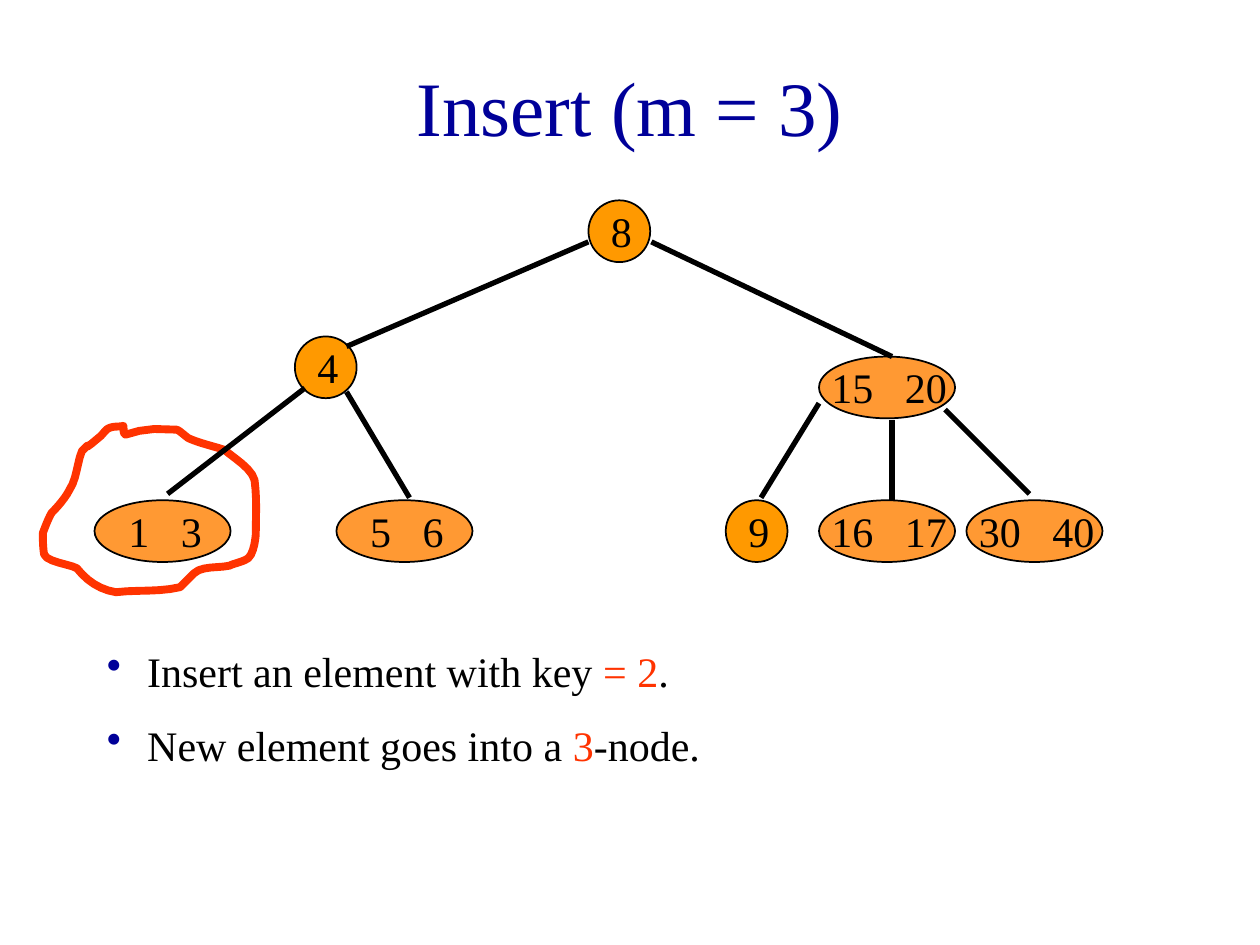
from typing import NamedTuple

from lxml.etree import SubElement
from pptx import Presentation
from pptx.dml.color import RGBColor
from pptx.enum.shapes import MSO_CONNECTOR, MSO_SHAPE
from pptx.enum.text import MSO_ANCHOR, PP_ALIGN
from pptx.oxml.ns import qn
from pptx.util import Inches, Pt

NAVY = RGBColor(0x00, 0x00, 0x99)
RED = RGBColor(0xFF, 0x33, 0x00)
BLACK = RGBColor(0x00, 0x00, 0x00)
ORANGE = RGBColor(0xFF, 0x99, 0x00)
LIGHT_ORANGE = RGBColor(0xFF, 0x99, 0x33)
FONT = "Times New Roman"
KEY_SIZE = 24
NODE_HEIGHT = 0.49

Point = tuple[float, float]


class Node(NamedTuple):
    left: float
    top: float
    keys: tuple[int, ...]

    @property
    def is_pair(self) -> bool:
        return len(self.keys) == 2


class Edge(NamedTuple):
    start: Point
    end: Point


class Run(NamedTuple):
    text: str
    color: RGBColor = BLACK


LEAF_TOP = 3.97
NODES = [
    Node(4.67, 1.59, (8,)),
    Node(2.34, 2.67, (4,)),
    Node(6.5, 2.83, (15, 20)),
    Node(0.75, LEAF_TOP, (1, 3)),
    Node(2.67, LEAF_TOP, (5, 6)),
    Node(5.76, LEAF_TOP, (9,)),
    Node(6.5, LEAF_TOP, (16, 17)),
    Node(7.67, LEAF_TOP, (30, 40)),
]
EDGES = [
    Edge((4.67, 1.92), (2.75, 2.75)),
    Edge((5.17, 1.92), (7.08, 2.83)),
    Edge((2.42, 3.08), (1.33, 3.92)),
    Edge((2.75, 3.11), (3.25, 3.95)),
    Edge((6.5, 3.2), (6.04, 3.95)),
    Edge((7.08, 3.33), (7.08, LEAF_TOP)),
    Edge((7.5, 3.25), (8.17, 3.92)),
]
BULLETS = [
    [Run("Insert an element with key "), Run("= 2", RED), Run(".")],
    [Run("New element goes into a "), Run("3", RED), Run("-node.")],
]
# Hand-drawn loop: a start point, then two control points and an end per curve.
LOOP_START = (0.98, 3.38)
LOOP_CURVES = [
    ((0.94, 3.39), (0.9, 3.38), (0.86, 3.4)),
    ((0.84, 3.41), (0.82, 3.44), (0.8, 3.46)),
    ((0.59, 3.64), (0.77, 3.46), (0.65, 3.58)),
    ((0.61, 3.68), (0.61, 3.8), (0.55, 3.89)),
    ((0.52, 3.95), (0.46, 4.02), (0.41, 4.07)),
    ((0.38, 4.12), (0.36, 4.18), (0.34, 4.23)),
    ((0.34, 4.28), (0.34, 4.34), (0.35, 4.4)),
    ((0.37, 4.46), (0.56, 4.48), (0.61, 4.51)),
    ((0.69, 4.61), (0.79, 4.68), (0.92, 4.7)),
    ((1.09, 4.68), (1.27, 4.7), (1.43, 4.66)),
    ((1.47, 4.62), (1.5, 4.59), (1.54, 4.55)),
    ((1.6, 4.49), (1.73, 4.51), (1.82, 4.49)),
    ((1.86, 4.47), (1.93, 4.46), (1.97, 4.43)),
    ((2.02, 4.39), (2.03, 4.24), (2.03, 4.24)),
    ((2.03, 4.1), (2.04, 3.95), (2.02, 3.81)),
    ((2, 3.72), (1.85, 3.63), (1.78, 3.57)),
    ((1.69, 3.54), (1.59, 3.52), (1.5, 3.48)),
    ((1.49, 3.48), (1.42, 3.41), (1.4, 3.41)),
    ((0.98, 3.37), (0.98, 3.54), LOOP_START),
]


def set_font(paragraph, size: float, color: RGBColor | None = None) -> None:
    paragraph.font.name = FONT
    paragraph.font.size = Pt(size)
    if color is not None:
        paragraph.font.color.rgb = color


def curve_points(start: Point, curve: tuple[Point, Point, Point], steps: int = 6) -> list[Point]:
    """Sample a cubic Bezier curve, leaving out its start."""
    controls = (start, *curve)
    points = []
    for step in range(1, steps + 1):
        t = step / steps
        weights = ((1 - t) ** 3, 3 * t * (1 - t) ** 2, 3 * t * t * (1 - t), t ** 3)
        points.append(tuple(Inches(sum(w * c[axis] for w, c in zip(weights, controls)))
                            for axis in (0, 1)))
    return points


def draw_loop(shapes) -> None:
    builder = shapes.build_freeform(Inches(LOOP_START[0]), Inches(LOOP_START[1]))
    start = LOOP_START
    for curve in LOOP_CURVES:
        builder.add_line_segments(curve_points(start, curve), close=False)
        start = curve[-1]
    builder.add_line_segments([], close=True)
    loop = builder.convert_to_shape()
    loop.shadow.inherit = False
    loop.fill.background()
    loop.line.color.rgb = RED
    loop.line.width = Pt(4.5)


def draw_node(shapes, node: Node) -> None:
    width = 1.08 if node.is_pair else NODE_HEIGHT
    ellipse = shapes.add_shape(MSO_SHAPE.OVAL, Inches(node.left), Inches(node.top),
                               Inches(width), Inches(NODE_HEIGHT))
    ellipse.shadow.inherit = False
    ellipse.fill.solid()
    ellipse.fill.fore_color.rgb = LIGHT_ORANGE if node.is_pair else ORANGE
    ellipse.line.color.rgb = BLACK
    ellipse.line.width = Pt(1)


def draw_edge(shapes, edge: Edge) -> None:
    line = shapes.add_connector(MSO_CONNECTOR.STRAIGHT,
                                *(Inches(v) for v in (*edge.start, *edge.end)))
    line.line.color.rgb = BLACK
    line.line.width = Pt(3)
    SubElement(line._element.spPr, qn("a:effectLst"))


def draw_keys(shapes, node: Node) -> None:
    digits = len(str(node.keys[0]))
    if not node.is_pair:
        offset, width = 0.08, 0.42
    elif digits == 1:
        offset, width = 0.17, 0.83
    else:
        offset, width = 0, 1.5
    box = shapes.add_textbox(Inches(node.left + offset), Inches(node.top - 0.01),
                             Inches(width), Inches(0.5))
    box.text_frame.word_wrap = True
    paragraph = box.text_frame.paragraphs[0]
    paragraph.text = "\t".join(str(key) for key in node.keys)
    if node.is_pair:
        # Digits are half an em wide; the gap is three quarters of an em.
        stop = Pt(KEY_SIZE * (digits / 2 + 0.75))
        tabs = SubElement(paragraph._p.get_or_add_pPr(), qn("a:tabLst"))
        SubElement(tabs, qn("a:tab"), pos=str(stop), algn="l")
    set_font(paragraph, KEY_SIZE, BLACK)


def draw_bullets(shapes) -> None:
    box = shapes.add_textbox(Inches(0.75), Inches(5.07), Inches(6.67), Inches(1.11))
    frame = box.text_frame
    frame.word_wrap = True
    for index, runs in enumerate(BULLETS):
        paragraph = frame.add_paragraph() if index else frame.paragraphs[0]
        if index:
            paragraph.space_before = Pt(13.5)
        properties = paragraph._p.get_or_add_pPr()
        properties.set("marL", str(Inches(0.32)))
        properties.set("indent", str(-Inches(0.32)))
        bullet_color = SubElement(properties, qn("a:buClr"))
        SubElement(bullet_color, qn("a:srgbClr"), val=str(NAVY))
        SubElement(properties, qn("a:buChar"), char="•")
        set_font(paragraph, 24)
        for part in runs:
            run = paragraph.add_run()
            run.text = part.text
            run.font.color.rgb = part.color


def main() -> None:
    presentation = Presentation()
    presentation.slide_width, presentation.slide_height = Inches(10), Inches(7.5)
    slide = presentation.slides.add_slide(presentation.slide_layouts[5])
    title = slide.shapes.title
    title.left, title.top = Inches(0.75), Inches(0.42)
    title.width, title.height = Inches(8.5), Inches(0.83)
    title.text_frame.text = "Insert (m = 3)"
    title.text_frame.vertical_anchor = MSO_ANCHOR.MIDDLE
    title.text_frame.paragraphs[0].alignment = PP_ALIGN.CENTER
    set_font(title.text_frame.paragraphs[0], 44, NAVY)

    draw_bullets(slide.shapes)
    draw_loop(slide.shapes)
    for draw, items in ((draw_node, NODES), (draw_edge, EDGES), (draw_keys, NODES)):
        for item in items:
            draw(slide.shapes, item)
    presentation.save("out.pptx")


if __name__ == "__main__":
    main()
